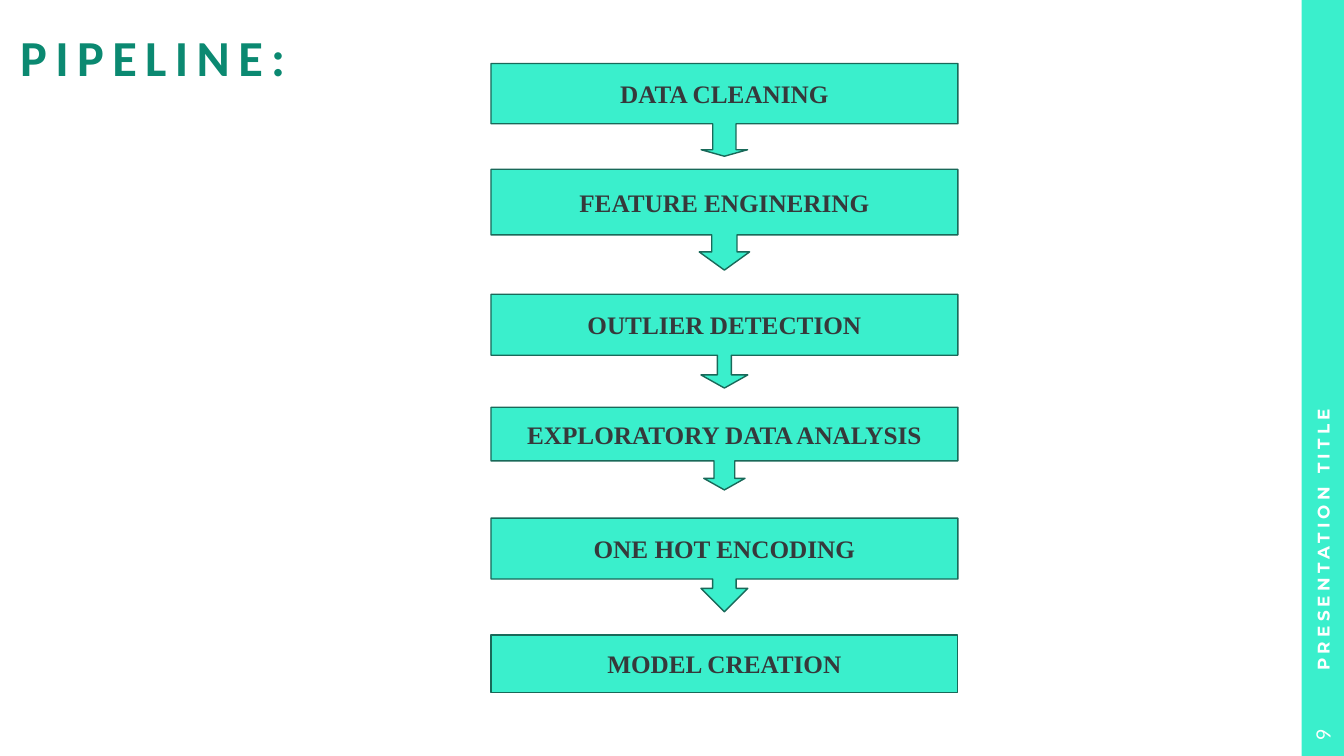
from pptx import Presentation
from pptx.dml.color import RGBColor
from pptx.enum.shapes import MSO_SHAPE
from pptx.enum.text import MSO_ANCHOR, PP_ALIGN
from pptx.util import Inches, Pt

MINT = RGBColor(0x3A, 0xEF, 0xCC)
GREEN = RGBColor(0x0B, 0x89, 0x71)
TEAL = RGBColor(0x19, 0x69, 0x59)
DARK = RGBColor(0x36, 0x39, 0x3B)
WHITE = RGBColor(0xFF, 0xFF, 0xFF)

SLIDE_W, SLIDE_H = 13.33, 7.5
BAR_W = 0.42

# Step name, top, height, callout adjustments (shaft, head width, head length, box)
STEPS = [
    ("DATA CLEANING", 0.63, 0.92, (0.25, 0.25, 0.07, 0.65)),
    ("FEATURE ENGINERING", 1.68, 1.0, (0.25, 0.25, 0.18, 0.65)),
    ("OUTLIER DETECTION", 2.92, 0.93, (0.15, 0.25, 0.14, 0.65)),
    ("EXPLORATORY DATA ANALYSIS", 4.04, 0.82, (0.25, 0.25, 0.14, 0.65)),
    ("ONE HOT ENCODING", 5.14, 0.93, (0.25, 0.25, 0.25, 0.65)),
    ("MODEL CREATION", 6.3, 0.57, None),
]


def write(sp, text, *, size, font, color, bold=True, align=PP_ALIGN.LEFT,
          spacing=0, line_spacing=None, margins=(0.1, 0.05, 0.1, 0.05)):
    tf = sp.text_frame
    tf.word_wrap = True
    tf.vertical_anchor = MSO_ANCHOR.MIDDLE
    (tf.margin_left, tf.margin_top,
     tf.margin_right, tf.margin_bottom) = map(Inches, margins)
    p = tf.paragraphs[0]
    p.alignment = align
    if line_spacing:
        p.line_spacing = line_spacing
    r = p.add_run()
    r.text = text
    r.font.size, r.font.name, r.font.bold = Pt(size), font, bold
    r.font.color.rgb = color
    if spacing:
        r._r.get_or_add_rPr().set("spc", str(spacing * 100))


def add_box(s, kind, x, y, w, h, line=None):
    sp = s.shapes.add_shape(kind, *map(Inches, (x, y, w, h)))
    sp.shadow.inherit = False
    sp.fill.solid()
    sp.fill.fore_color.rgb = MINT
    if line is None:
        sp.line.fill.background()
    else:
        sp.line.color.rgb = line
        sp.line.width = Pt(1)
    return sp


def add_upright_text(s, x, y, w, h, text, **fmt):
    """Text reading upwards that fills the given box as seen on the slide."""
    left, top = x + (w - h) / 2, y + (h - w) / 2
    sp = s.shapes.add_textbox(*map(Inches, (left, top, h, w)))
    sp.rotation = 270
    write(sp, text, color=WHITE, **fmt)


def add_title(s, x, y, w, h):
    sp = s.shapes.add_textbox(*map(Inches, (x, y, w, h)))
    write(sp, "PIPELINE:", size=36, font="Calibri", color=GREEN, spacing=6,
          line_spacing=0.9, margins=(0, 0, 0, 0))


def add_sidebar(s, x, y, w, h):
    add_box(s, MSO_SHAPE.RECTANGLE, x, y, w, h)
    number_h = 0.62
    add_upright_text(s, x, y, w, h - number_h, "PRESENTATION TITLE", size=12,
                     font="Montserrat", spacing=3,
                     margins=(0.23, 0.05, 0.1, 0.05))
    add_upright_text(s, x, y + h - number_h + 0.1, w, number_h, "9", size=14,
                     font="Lato", bold=False, align=PP_ALIGN.CENTER)


def add_pipeline(s, x, w):
    for name, y, h, adjustments in STEPS:
        kind = MSO_SHAPE.DOWN_ARROW_CALLOUT if adjustments else MSO_SHAPE.RECTANGLE
        sp = add_box(s, kind, x, y, w, h, line=TEAL)
        for i, value in enumerate(adjustments or ()):
            sp.adjustments[i] = value
        write(sp, name, size=18, font="Times New Roman", color=DARK,
              align=PP_ALIGN.CENTER)


def main():
    prs = Presentation()
    prs.slide_width, prs.slide_height = Inches(SLIDE_W), Inches(SLIDE_H)
    s = prs.slides.add_slide(prs.slide_layouts[6])
    add_sidebar(s, SLIDE_W - BAR_W, 0, BAR_W, SLIDE_H)
    add_title(s, 0.2, 0.24, 3.07, 0.71)
    add_pipeline(s, 4.87, 4.63)
    prs.save("out.pptx")


if __name__ == "__main__":
    main()
